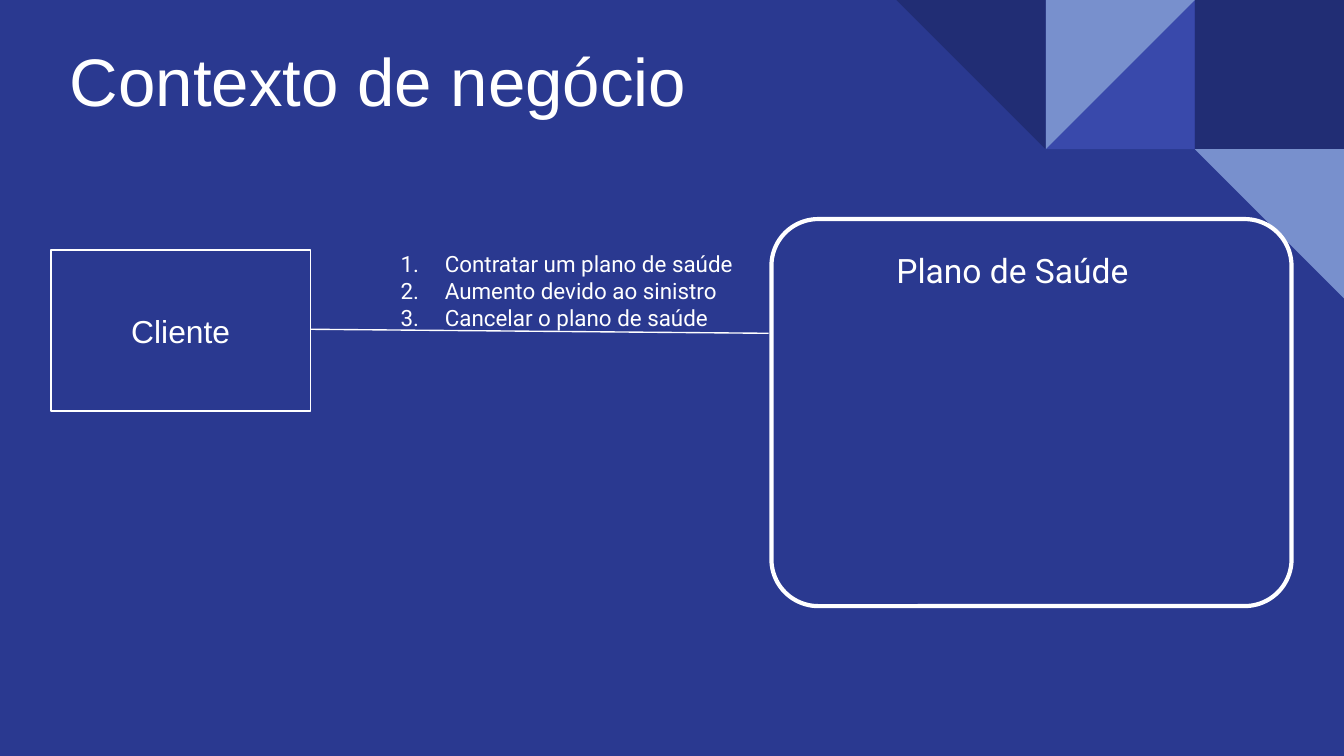
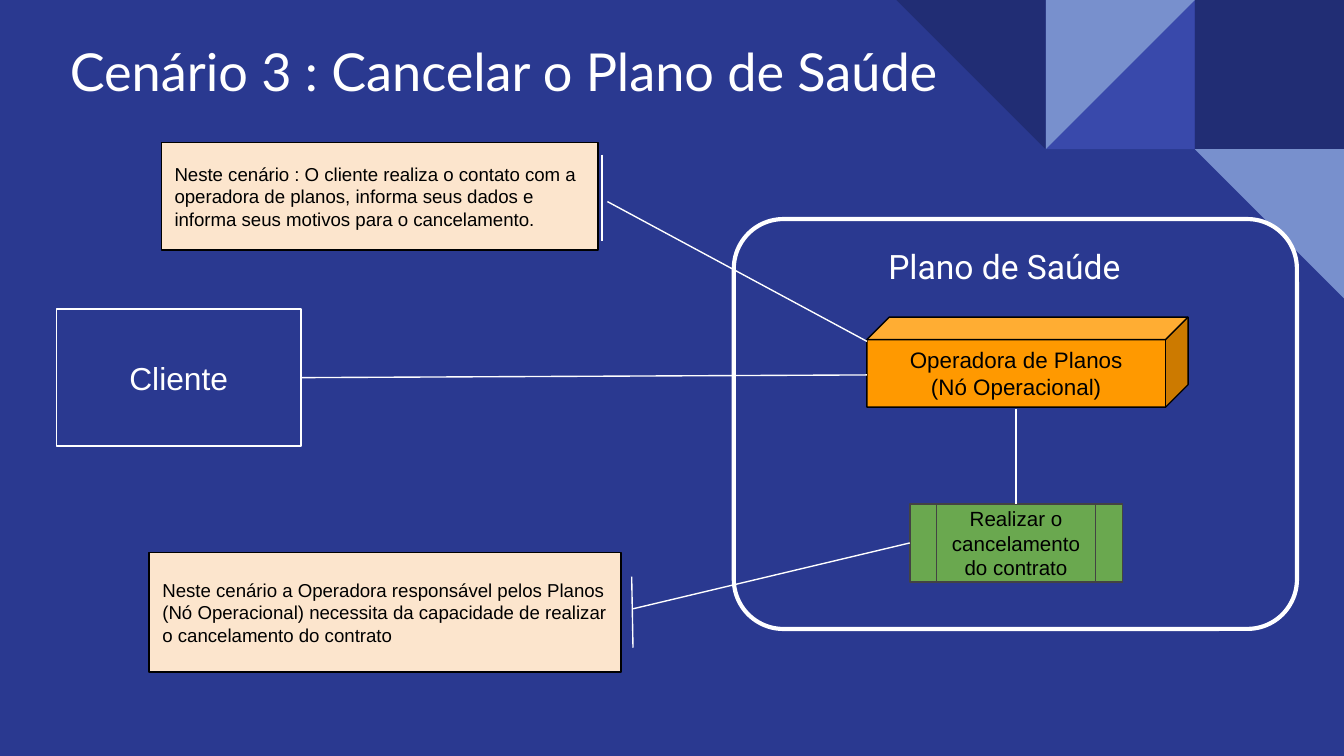
from typing import NamedTuple, Optional

from pptx import Presentation
from pptx.dml.color import RGBColor
from pptx.enum.shapes import MSO_CONNECTOR, MSO_SHAPE as SHP
from pptx.enum.text import MSO_ANCHOR as ANC, MSO_AUTO_SIZE, PP_ALIGN as AL
from pptx.oxml import parse_xml
from pptx.oxml.ns import nsdecls, qn
from pptx.slide import Slide
from pptx.util import Inches, Pt

BACK, NAVY, INDIGO, SKY = "2A3990", "212D74", "3949AB", "7890CD"
WHITE, BLACK, CREAM = "FFFFFF", "000000", "FCE5CD"
ORANGE, GREEN, GREY = "FF9900", "6AA84F", "434343"
WIDTH = 10
HEIGHT = WIDTH * 9 / 16
TILE = 1.11
INSET = 0.1


class Style(NamedTuple):
    size: float
    font: str = "Arial"
    color: str = WHITE
    align: AL = AL.LEFT
    anchor: ANC = ANC.TOP


class Box(NamedTuple):
    kind: SHP
    at: tuple[float, float, float, float]
    fill: Optional[str] = None
    line: Optional[str] = None
    weight: float = 0.75
    adj: Optional[float] = None
    text: tuple[str, ...] = ()
    style: Optional[Style] = None


class Tile(NamedTuple):
    kind: SHP
    col: int
    row: int
    color: str
    turn: int = 0
    flip: bool = False


TILES = [
    Tile(SHP.RECTANGLE, 8, 0, NAVY),
    Tile(SHP.RIGHT_TRIANGLE, 7, 0, INDIGO, flip=True),
    Tile(SHP.RIGHT_TRIANGLE, 7, 0, SKY, 180, True),
    Tile(SHP.RIGHT_TRIANGLE, 6, 0, NAVY, 180),
    Tile(SHP.RIGHT_TRIANGLE, 8, 1, SKY, 180),
]
LABEL = Style(18, "Roboto", align=AL.CENTER)
ACTOR = Style(17, align=AL.CENTER, anchor=ANC.MIDDLE)
NODE = Style(12, "Arial", BLACK, AL.CENTER, ANC.MIDDLE)
NOTE = Style(10, "Arial", BLACK, AL.LEFT, ANC.MIDDLE)


def rgb(color: str) -> RGBColor:
    return RGBColor.from_string(color)


def place(sp, at: tuple) -> None:
    for name, value in zip(("left", "top", "width", "height"), at):
        setattr(sp, name, Inches(value))


def write(sp, lines: tuple[str, ...], st: Style) -> None:
    tf = sp.text_frame
    frame = {"word_wrap": True, "auto_size": MSO_AUTO_SIZE.NONE,
             "vertical_anchor": st.anchor}
    frame |= {f"margin_{side}": Inches(INSET) for side in ("left", "top", "right", "bottom")}
    for name, value in frame.items():
        setattr(tf, name, value)
    para = {"alignment": st.align, "space_before": Pt(0), "line_spacing": 1.0}
    for i, line in enumerate(lines):
        p = tf.paragraphs[0] if i == 0 else tf.add_paragraph()
        for name, value in para.items():
            setattr(p, name, value)
        r = p.add_run()
        r.text = line
        for name, value in {"size": Pt(st.size), "name": st.font}.items():
            setattr(r.font, name, value)
        r.font.color.rgb = rgb(st.color)


def add_box(s: Slide, box: Box):
    sp = s.shapes.add_shape(box.kind, *map(Inches, box.at))
    sp.shadow.inherit = False
    for part, color in ((sp.fill, box.fill), (sp.line.fill, box.line)):
        if color:
            part.solid()
            part.fore_color.rgb = rgb(color)
        else:
            part.background()
    if box.line:
        sp.line.width = Pt(box.weight)
    if box.adj is not None:
        sp.adjustments[0] = box.adj
    if box.text:
        write(sp, box.text, box.style)
    return sp


def add_line(s: Slide, x1: float, y1: float, x2: float, y2: float) -> None:
    ln = s.shapes.add_connector(MSO_CONNECTOR.STRAIGHT, *map(Inches, (x1, y1, x2, y2)))
    ln.line.color.rgb = rgb(WHITE)
    ln.line.width = Pt(0.75)
    ln._element.spPr.append(parse_xml(f"<a:effectLst {nsdecls('a')}/>"))


def add_title(s: Slide, text: str, at: tuple, st: Style) -> None:
    place(s.shapes.title, at)
    write(s.shapes.title, (text,), st)


def add_numbered(s: Slide, items: tuple[str, ...], at: tuple, st: Style) -> None:
    sp = s.placeholders[1]
    place(sp, at)
    write(sp, items, st)
    for p in sp.text_frame.paragraphs:
        pPr = p._p.get_or_add_pPr()
        pPr.set("marL", str(Inches(0.5)))
        pPr.set("indent", str(-Inches(0.33)))
        for xml in (f'<a:buClr {nsdecls("a")}><a:srgbClr val="{st.color}"/></a:buClr>',
                    f'<a:buFont {nsdecls("a")} typeface="{st.font}"/>',
                    f'<a:buAutoNum {nsdecls("a")} type="arabicPeriod"/>'):
            pPr.append(parse_xml(xml))


def add_plan(s: Slide, frame: tuple, label: tuple) -> None:
    add_box(s, Box(SHP.ROUNDED_RECTANGLE, frame, line=WHITE, weight=2.25, adj=0.121))
    write(s.shapes.add_textbox(*map(Inches, label)), ("Plano de Saúde ",), LABEL)


def add_client(s: Slide, at: tuple) -> None:
    add_box(s, Box(SHP.RECTANGLE, at, line=WHITE, text=("Cliente",), style=ACTOR))


def decorate(prs, s: Slide) -> None:
    master = prs.slide_master
    master.background.fill.solid()
    master.background.fill.fore_color.rgb = rgb(BACK)
    for i, t in enumerate(TILES):
        x = WIDTH - (9 - t.col) * TILE
        sp = add_box(s, Box(t.kind, (x, t.row * TILE, TILE, TILE), t.color))
        sp.rotation = t.turn
        el = sp._element
        if t.flip:
            el.spPr.find(qn("a:xfrm")).set("flipH", "1")
        el.nvSpPr.cNvPr.set("id", str(20 + i))
        master.shapes.element.append(el)


def build_context(s: Slide) -> None:
    add_title(s, "Contexto de negócio", (0.42, 0.19, 5.04, 0.81), Style(36))
    add_plan(s, (5.74, 1.63, 3.87, 2.88), (5.88, 1.76, 3.37, 0.5))
    add_client(s, (0.38, 1.86, 1.93, 1.2))
    add_line(s, 2.31, 2.45, 5.72, 2.48)
    add_numbered(s, ("Contratar um plano de saúde", "Aumento devido ao sinistro",
                     "Cancelar o plano de saúde"),
                 (2.71, 1.76, 2.91, 0.81), Style(12, "Roboto"))


def build_cancellation(s: Slide) -> None:
    add_title(s, "Cenário 3 : Cancelar o Plano de Saúde",
              (0.42, 0.19, 9.24, 0.67), Style(28, "Lato"))
    add_plan(s, (5.46, 1.63, 4.19, 3.05), (5.82, 1.73, 3.37, 0.5))
    add_client(s, (0.42, 2.3, 1.82, 1.02))
    for box in (
        Box(SHP.CUBE, (6.45, 2.36, 2.39, 0.67), ORANGE, BLACK, adj=0.25,
            text=("Operadora de Planos", "(Nó Operacional)"), style=NODE),
        Box(SHP.FLOWCHART_PREDEFINED_PROCESS, (6.77, 3.75, 1.58, 0.58), GREEN, GREY,
            text=("Realizar o cancelamento do contrato",), style=NODE._replace(size=11)),
        Box(SHP.FLOWCHART_PROCESS, (1.11, 4.11, 3.51, 0.89), CREAM, BLACK,
            text=("Neste cenário a Operadora responsável pelos Planos",
                  "(Nó Operacional) necessita da capacidade de realizar "
                  "o cancelamento do contrato"), style=NOTE),
        Box(SHP.FLOWCHART_PROCESS, (1.2, 1.06, 3.25, 0.8), CREAM, BLACK,
            text=("Neste cenário : O cliente realiza o contato com a operadora de "
                  "planos, informa seus dados e informa seus motivos para o "
                  "cancelamento.",), style=NOTE),
    ):
        add_box(s, box)
    for ends in (
        (7.56, 3.04, 7.56, 3.75),
        (2.24, 2.81, 6.45, 2.79),
        (4.52, 1.5, 6.45, 2.54),
        (4.48, 1.15, 4.48, 1.79),
        (4.71, 4.53, 6.77, 4.04),
        (4.7, 4.29, 4.71, 4.82),
    ):
        add_line(s, *ends)


def main() -> None:
    prs = Presentation()
    prs.slide_width, prs.slide_height = Inches(WIDTH), Inches(HEIGHT)
    context = prs.slides.add_slide(prs.slide_layouts[1])
    decorate(prs, context)
    build_context(context)
    build_cancellation(prs.slides.add_slide(prs.slide_layouts[5]))
    prs.save("out.pptx")


main()
